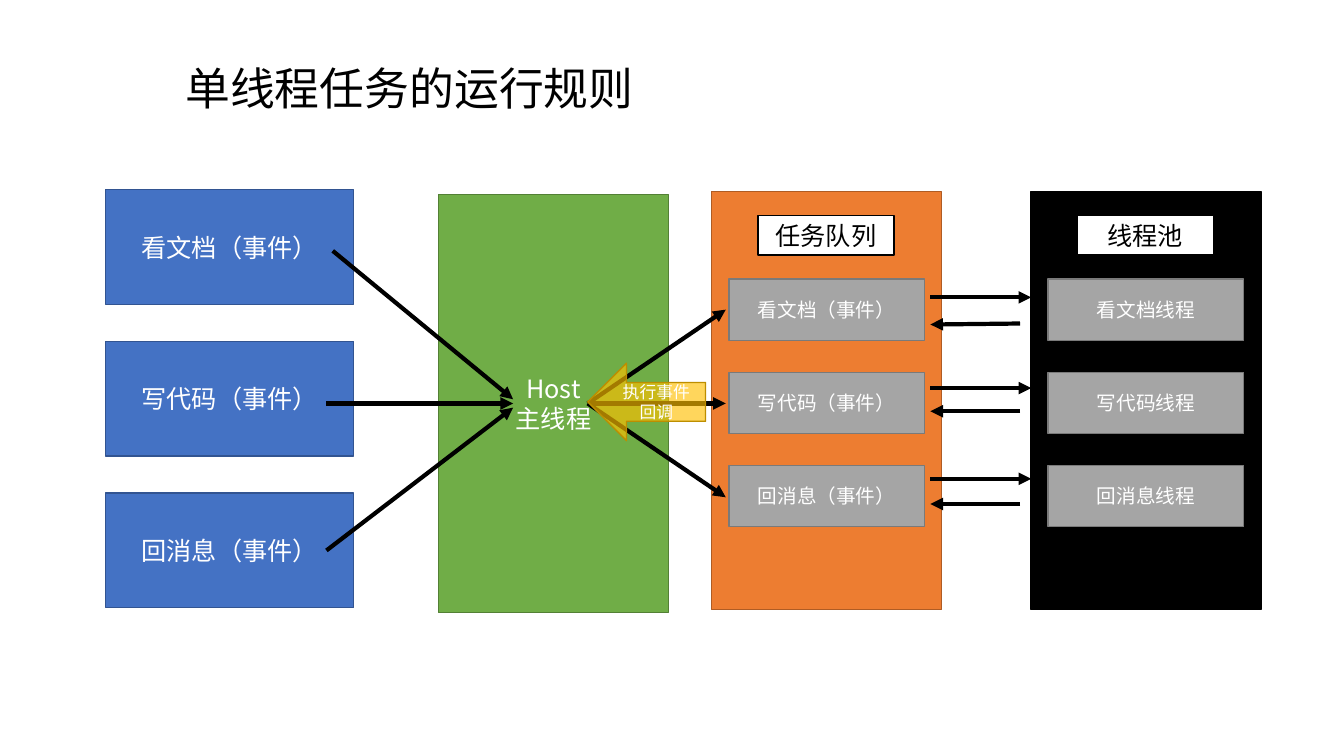
from lxml.etree import SubElement
from pptx import Presentation
from pptx.dml.color import RGBColor
from pptx.enum.shapes import MSO_CONNECTOR as Connector, MSO_SHAPE as Preset
from pptx.enum.text import MSO_ANCHOR as Anchor, PP_ALIGN as Align
from pptx.oxml.ns import qn
from pptx.util import Pt

FONT = "Noto Sans CJK SC"
WHITE = RGBColor(0xFF, 0xFF, 0xFF)
BLACK = RGBColor(0x00, 0x00, 0x00)
BLUE = RGBColor(0x44, 0x72, 0xC4)
BLUE_EDGE = RGBColor(0x32, 0x54, 0x91)
GREEN = RGBColor(0x70, 0xAD, 0x47)
GREEN_EDGE = RGBColor(0x53, 0x80, 0x35)
ORANGE = RGBColor(0xED, 0x7D, 0x31)
ORANGE_EDGE = RGBColor(0xAF, 0x5C, 0x24)
GRAY = RGBColor(0xA5, 0xA5, 0xA5)
GRAY_EDGE = RGBColor(0x7A, 0x7A, 0x7A)
GOLD = RGBColor(0xFF, 0xC0, 0x00)
GOLD_EDGE = RGBColor(0xBD, 0x8E, 0x00)


def write(shape, text, size, color, align):
    shape.text_frame.word_wrap = True
    shape.text_frame.text = text
    for paragraph in shape.text_frame.paragraphs:
        paragraph.alignment = align
        for run in paragraph.runs:
            font = run.font
            font.name, font.size, font.color.rgb = FONT, Pt(size), color
            SubElement(font._element, qn("a:ea")).set("typeface", FONT)


def add_block(slide, box, fill, edge, text="", size=18, color=WHITE, preset=Preset.RECTANGLE):
    shape = slide.shapes.add_shape(preset, *map(Pt, box))
    shape.shadow.inherit = False
    shape.fill.solid()
    shape.fill.fore_color.rgb = fill
    shape.line.color.rgb = edge
    shape.line.width = Pt(1)
    shape.text_frame.vertical_anchor = Anchor.MIDDLE
    if text:
        write(shape, text, size, color, Align.CENTER)
    return shape


def add_arrow(slide, start, end):
    arrow = slide.shapes.add_connector(Connector.STRAIGHT, *map(Pt, (*start, *end)))
    arrow.line.color.rgb = BLACK
    arrow.line.width = Pt(3)
    SubElement(arrow.line._get_or_add_ln(), qn("a:tailEnd")).set("type", "triangle")
    SubElement(arrow._element.spPr, qn("a:effectLst"))


def add_title(slide, box, text):
    title = slide.shapes.add_textbox(*map(Pt, box))
    write(title, text, 32, BLACK, Align.LEFT)


def add_events(slide, box, labels):
    left, top, width, height = box
    block_height = 82.1
    pitch = (height - block_height) / (len(labels) - 1)
    for row, label in enumerate(labels):
        add_block(slide, (left, top + row * pitch, width, block_height), BLUE, BLUE_EDGE, label)


def add_main_thread(slide, box):
    left, top, width, height = box
    middle = top + height / 2
    add_block(slide, box, GREEN, GREEN_EDGE, "Host\n主线程")
    # Arrows from the events
    for start_x, start_dy, end_dy in ((-75.5, -109, -3), (-80, 0, 0), (-80, 105, 3)):
        add_arrow(slide, (left + start_x, middle + start_dy), (left + 53.3, middle + end_dy))


def add_stack(slide, box, fill, edge, heading, labels):
    left, top, width, height = box
    add_block(slide, box, fill, edge)
    add_block(slide, (left + 33.1, top + 17.3, 97.2, 28.1), WHITE, BLACK, heading, 18, BLACK)
    for row, label in enumerate(labels):
        task_box = (left + 12.3, top + 62.6 + row * 66.5, 139.7, 43.9)
        add_block(slide, task_box, GRAY, GRAY_EDGE, label, 14)


def add_dispatch(slide, box):
    # Arrows from the main thread to the queued tasks
    left, top, width, height = box
    for end_y in (top, top + height / 2, top + height):
        add_arrow(slide, (left, top + height / 2), (left + width, end_y))


def add_exchange(slide, box):
    # Arrows between the queue and the pool
    left, top, width, height = box
    for out, back_start, back_end in ((0, 18.7, 19.4), (64.8, 81.4, 81.4), (129.6, 147.6, 147.6)):
        add_arrow(slide, (left, top + out), (left + width, top + out))
        add_arrow(slide, (left + width - 8, top + back_start), (left, top + back_end))


def add_callback(slide, box):
    callback = add_block(slide, box, GOLD, GOLD_EDGE, "执行事件\n回调", 12, WHITE, Preset.LEFT_ARROW)
    color = callback._element.spPr.find(qn("a:solidFill"))[0]
    SubElement(color, qn("a:alpha")).set("val", "64000")


def main():
    presentation = Presentation()
    presentation.slide_width, presentation.slide_height = Pt(960), Pt(540)
    slide = presentation.slides.add_slide(presentation.slide_layouts[6])

    tasks = ("看文档", "写代码", "回消息")
    events = [task + "（事件）" for task in tasks]
    threads = [task + "线程" for task in tasks]

    add_events(slide, (75.6, 135.4, 177.1, 298.8), events)
    add_main_thread(slide, (313.2, 138.8, 164.2, 298.8))
    add_title(slide, (125.3, 39.6, 349.2, 46.1), "单线程任务的运行规则")
    add_stack(slide, (508.3, 136.8, 164.2, 298.8), ORANGE, ORANGE_EDGE, "任务队列", events)
    add_dispatch(slide, (419.8, 221.2, 98.6, 134))
    add_stack(slide, (736.4, 136.8, 164.2, 298.8), BLACK, BLACK, "线程池", threads)
    add_exchange(slide, (664.6, 212.4, 72, 147.6))
    add_callback(slide, (419.8, 259.4, 84.2, 55.4))

    presentation.save("out.pptx")


if __name__ == "__main__":
    main()
